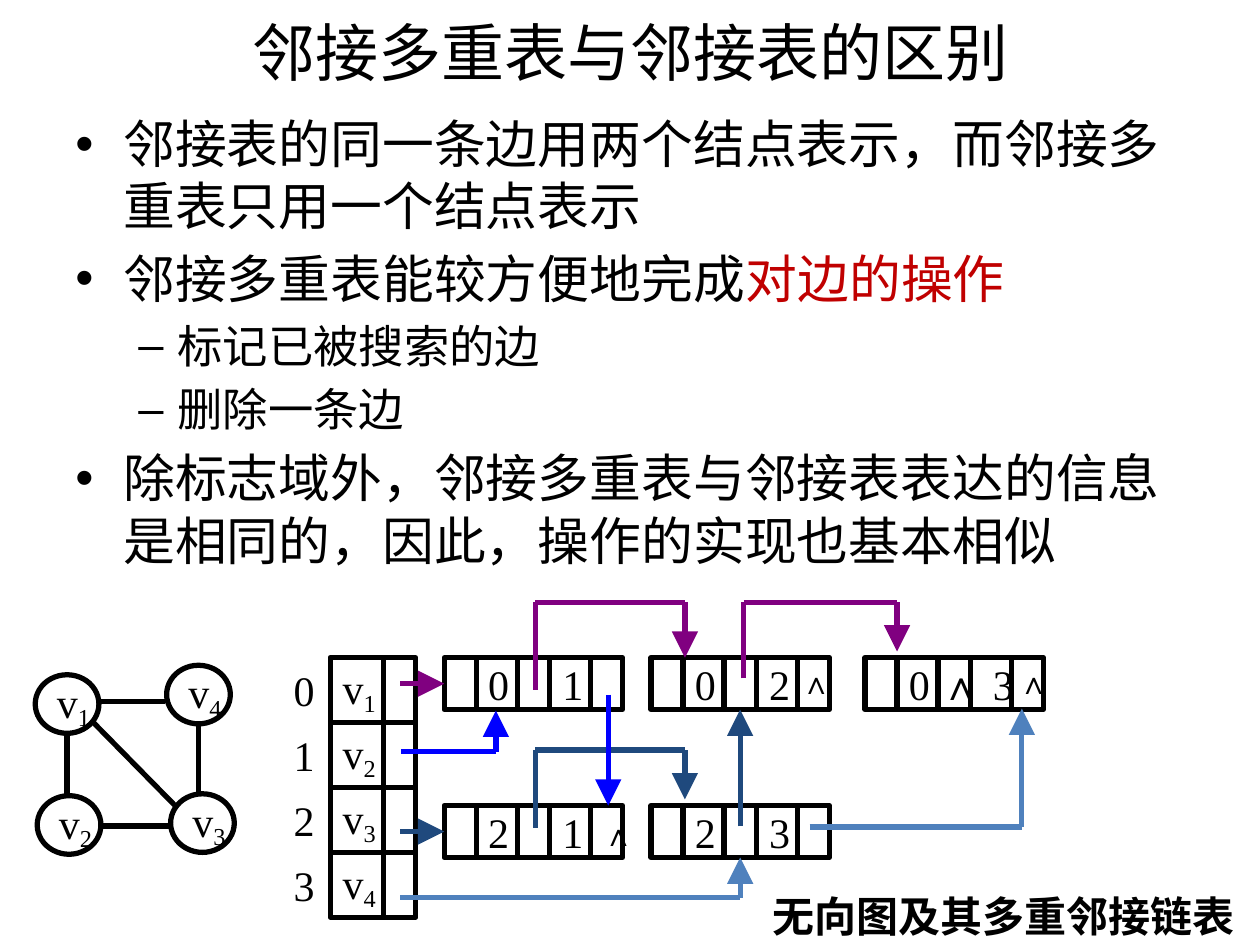
import pptx
import pptx.util
import pptx.dml.color
import pptx.enum.shapes
import pptx.enum.text
import pptx.oxml
import pptx.oxml.ns
from collections import namedtuple
from itertools import pairwise

RGBColor = pptx.dml.color.RGBColor
BLACK = RGBColor(0x00, 0x00, 0x00)
RED = RGBColor(0xC0, 0x00, 0x00)
PURPLE = RGBColor(0x80, 0x00, 0x80)
BLUE = RGBColor(0x00, 0x00, 0xFF)
NAVY = RGBColor(0x1F, 0x49, 0x7D)
STEEL = RGBColor(0x4F, 0x81, 0xBD)

inch = pptx.util.Inches
qn = pptx.oxml.ns.qn
SHAPE = pptx.enum.shapes.MSO_SHAPE
ALIGN = pptx.enum.text.PP_ALIGN
ANCHOR = pptx.enum.text.MSO_ANCHOR
FIELD_EDGES = (0.18, 0.41, 0.59, 0.82)
LINK_BUS = -1.07


class Box(namedtuple("Box", "left top width height")):
    """A region in inches, addressed by shares of its own size."""

    def point(self, across, down):
        """Return the point at the given shares."""
        return self.left + across * self.width, self.top + down * self.height

    def inner(self, across, down, width, height):
        """Return the inner box at the given shares."""
        return Box(*self.point(across, down), width * self.width, height * self.height)

    def emu(self):
        """Return the four lengths for python-pptx."""
        return [inch(length) for length in self]


def style(font, **values):
    """Apply format values to a font."""
    font.color.rgb = values.pop("color", BLACK)
    for key, value in values.items():
        setattr(font, key, value)


def write(shape, runs, size=24, name="Times New Roman", align=ALIGN.LEFT,
          anchor=ANCHOR.MIDDLE, wrap=False, bold=None):
    """Write one paragraph of (text, baseline) runs in a shape."""
    frame = shape.text_frame
    for key, value in {"word_wrap": wrap, "vertical_anchor": anchor}.items():
        setattr(frame, key, value)
    paragraph = frame.paragraphs[0]
    paragraph.alignment = align
    for text, baseline in runs:
        run = paragraph.add_run()
        run.text = text
        style(run.font, size=pptx.util.Pt(size), name=name, bold=bold)
        if baseline:
            run.font._element.set("baseline", str(baseline))
    return paragraph


def label(slide, box, text, **values):
    """Add a text box with one line."""
    return write(slide.shapes.add_textbox(*box.emu()), [(text, 0)], **values)


def outline(slide, kind, box):
    """Add an unfilled shape with a black border."""
    shape = slide.shapes.add_shape(kind, *box.emu())
    shape.shadow.inherit = False
    shape.fill.background()
    shape.line.color.rgb = BLACK
    shape.line.width = pptx.util.Pt(3)
    return shape


def polyline(slide, points, color=BLACK, arrow=False):
    """Join points with straight lines and return the last one."""
    for start, end in pairwise(points):
        line = slide.shapes.add_connector(
            pptx.enum.shapes.MSO_CONNECTOR.STRAIGHT, *map(inch, start + end))
        line.line.color.rgb = color
        line.line.width = pptx.util.Pt(3)
        properties = line._element.spPr
        properties.append(pptx.oxml.parse_xml(
            f'<a:effectLst {pptx.oxml.ns.nsdecls("a")}/>'))
    if arrow:
        properties.find(qn("a:ln")).append(pptx.oxml.parse_xml(
            f'<a:tailEnd {pptx.oxml.ns.nsdecls("a")} type="triangle" w="lg" len="lg"/>'))
    return line


def add_title(slide, box, text):
    """Place and format the slide title."""
    title = slide.shapes.title
    for key, value in zip(("left", "top", "width", "height"), box.emu()):
        setattr(title, key, value)
    write(title, [(text, 0)], size=36, name="Calibri", align=ALIGN.CENTER, wrap=True)


def add_points(slide, box, points):
    """Write the two-level bulleted list."""
    frame = slide.shapes.add_textbox(*box.emu()).text_frame
    frame.word_wrap = True
    levels = ((0.38, 0.38, "•", 29.6), (0.81, 0.31, "–", 25.9))
    for index, (level, runs) in enumerate(points):
        paragraph = frame.paragraphs[0] if index == 0 else frame.add_paragraph()
        margin, hang, mark, size = levels[level]
        properties = paragraph._p.get_or_add_pPr()
        properties.set("marL", str(inch(margin)))
        properties.set("indent", str(-inch(hang)))
        for tag, key, value in (("buFont", "typeface", "Arial"), ("buChar", "char", mark)):
            properties.append(pptx.oxml.parse_xml(
                f'<a:{tag} {pptx.oxml.ns.nsdecls("a")} {key}="{value}"/>'))
        paragraph.level = level
        if index:
            paragraph.space_before = pptx.util.Pt(round(size * 0.2, 1))
        for text, color in runs:
            run = paragraph.add_run()
            run.text = text
            style(run.font, size=pptx.util.Pt(size), name="Calibri", color=color)


def add_graph(slide, box):
    """Draw the undirected graph with four vertices."""
    corners = ((0, 0.05), (0.01, 0.69), (0.68, 0.68), (0.66, 0))
    for number, corner in enumerate(corners, 1):
        vertex = outline(slide, SHAPE.OVAL, box.inner(*corner, 0.32, 0.31))
        write(vertex, [("v", 0), (str(number), -20000)])
    edges = (((0.16, 0.37), (0.16, 0.7)), ((0.82, 0.32), (0.82, 0.69)),
             ((0.28, 0.29), (0.7, 0.74)), ((0.33, 0.19), (0.65, 0.19)),
             ((0.34, 0.85), (0.68, 0.85)))
    for ends in edges:
        polyline(slide, [box.point(*end) for end in ends])


def add_vertex_list(slide, box):
    """Draw the numbered vertex array and return its cells."""
    cells = [box.inner(0, row / 4, 1, 0.25) for row in range(4)]
    for row, cell in enumerate(cells):
        write(outline(slide, SHAPE.RECTANGLE, cell), [("v", 0), (str(row + 1), -20000)])
        polyline(slide, [cell.point(0.62, 0), cell.point(0.62, 1)])
        label(slide, cell.inner(-0.57, 0, 0.46, 1), str(row))
    return cells


def add_record(slide, box, text, ended):
    """Draw a five-field edge record and return its frame."""
    frame = outline(slide, SHAPE.RECTANGLE, box)
    frame.text_frame.margin_right = 0
    paragraph = write(frame, [(text, 0)], wrap=True)
    stops = "".join(f'<a:tab pos="{inch(stop)}" algn="l"/>' for stop in (0.25, 0.84))
    paragraph._p.get_or_add_pPr().append(pptx.oxml.parse_xml(
        f'<a:tabLst {pptx.oxml.ns.nsdecls("a")}>{stops}</a:tabLst>'))
    for edge in FIELD_EDGES:
        polyline(slide, [box.point(edge, 0), box.point(edge, 1)])
    if ended:
        label(slide, box.inner(*ended, 0.25, 0.95), "∧", size=18, anchor=ANCHOR.TOP)
    return frame


def add_multilist(slide, box):
    """Draw the vertex array, edge records and their links."""
    v1, v2, v3, v4 = add_vertex_list(slide, box.inner(0, 0, 0.12, 1))
    places = ((0, 0, "\t0\t1", None), (1, 0, "\t0\t2", (0.77, -0.02)),
              (2, 0, "\t0 ∧ 3", (0.79, -0.02)), (0, 1, "\t2\t1", (0.82, 0.07)),
              (1, 1, "\t2\t3", None))
    columns, rows = (0.16, 0.45, 0.75), (0, 0.57)
    boxes = [box.inner(columns[column], rows[row], 0.25, 0.2)
             for column, row, _, _ in places]
    frames = [add_record(slide, spot, text, ended)
              for spot, (_, _, text, ended) in zip(boxes, places)]
    e01, e02, e03, e21, e23 = boxes

    for source, start, target, end in ((e01, (0.51, 0.62), e02, (0.19, 0)),
                                       (e02, (0.52, 0.4), e03, (0.18, -0.12)),
                                       (e21, (0.51, 0.43), e23, (0.19, -0.12))):
        first, last = source.point(*start), target.point(*end)
        bus = source.point(0, LINK_BUS)[1]
        color = NAVY if source is e21 else PURPLE
        polyline(slide, [first, (first[0], bus), (last[0], bus), last], color, True)

    for first, last, color in ((v2.point(0.83, 0.45), e01.point(0.29, 1.02), BLUE),
                               (e23.point(0.89, 0.41), e03.point(0.88, 0.98), STEEL)):
        polyline(slide, [first, (last[0], first[1]), last], color, True)
    polyline(slide, [e01.point(0.92, 0.71), e21.point(0.92, 0)], BLUE, True)

    start_x, v4_y = v4.point(0.82, 0.7)
    middle_x = e23.point(0.5, 0)[0]
    joined = (([(start_x, e01.point(0, 0.5)[1]), e01.point(0, 0.5)], PURPLE, 0, 1),
              ([(start_x, e21.point(0, 0.5)[1]), e21.point(0, 0.5)], NAVY, 3, 1),
              ([e23.point(0.5, 0.4), e02.point(0.5, 1)], NAVY, 1, 2),
              ([(start_x, v4_y), (middle_x, v4_y), e23.point(0.5, 1)], STEEL, 4, 2))
    for points, color, target, side in joined:
        polyline(slide, points, color, True).end_connect(frames[target], side)


def main():
    """Build the slide and save it."""
    deck = pptx.Presentation()
    deck.slide_width, deck.slide_height = inch(10), inch(7.5)
    slide = deck.slides.add_slide(deck.slide_layouts[5])
    add_title(slide, Box(0.5, -0.03, 9, 0.87), "邻接多重表与邻接表的区别")
    add_points(slide, Box(0.5, 0.84, 9, 3.66), (
        (0, [("邻接表的同一条边用两个结点表示，而邻接多重表只用一个结点表示", BLACK)]),
        (0, [("邻接多重表能较方便地完成", BLACK), ("对边的操作", RED)]),
        (1, [("标记已被搜索的边", BLACK)]),
        (1, [("删除一条边", BLACK)]),
        (0, [("除标志域外，邻接多重表与邻接表表达的信息是相同的，因此，操作的实现也基本相似", BLACK)])))
    add_graph(slide, Box(0.28, 5.28, 1.58, 1.5))
    add_multilist(slide, Box(2.62, 5.22, 5.66, 2.06))
    label(slide, Box(5.94, 7.06, 4.05, 0.42), "无向图及其多重邻接链表",
          align=ALIGN.CENTER, bold=True)
    deck.save("out.pptx")


if __name__ == "__main__":
    main()
